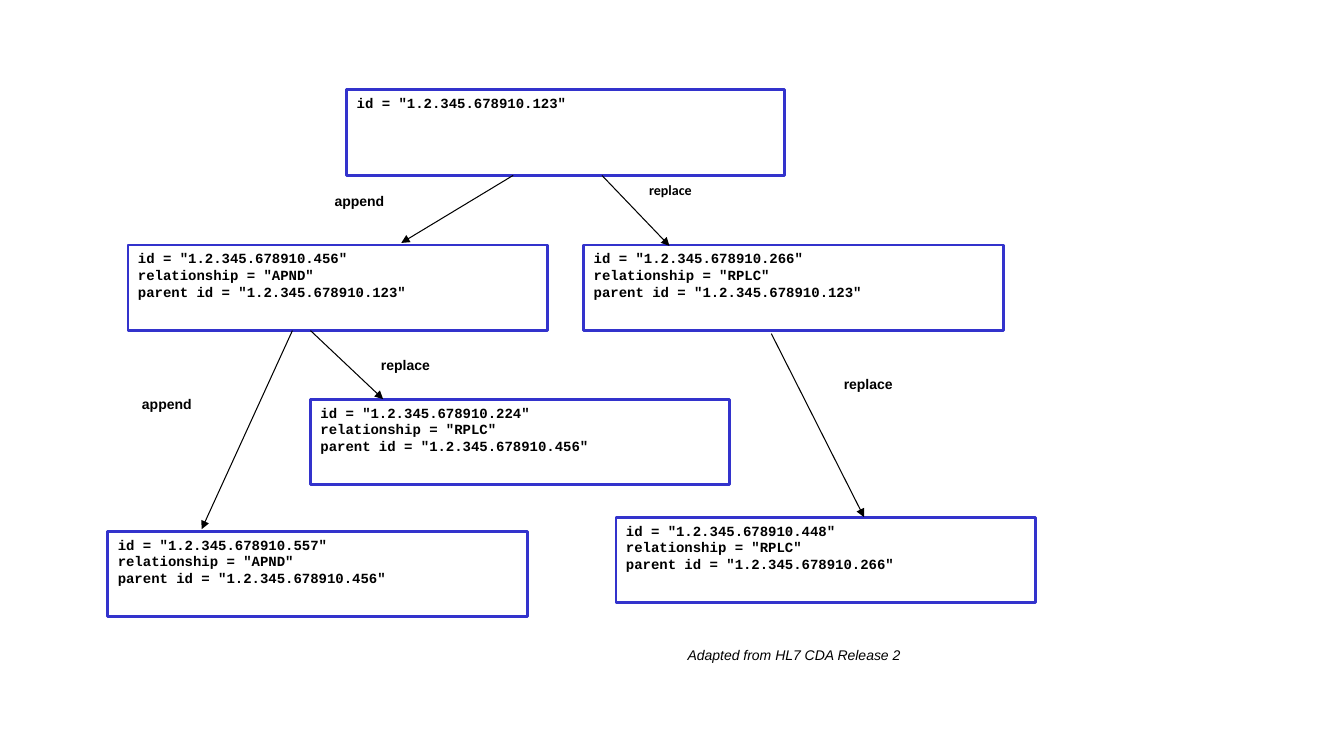
from lxml.etree import SubElement
from pptx import Presentation
from pptx.dml.color import RGBColor
from pptx.enum.shapes import MSO_CONNECTOR, MSO_SHAPE
from pptx.enum.text import MSO_ANCHOR, PP_ALIGN
from pptx.oxml.ns import qn
from pptx.util import Inches, Pt

BLACK, WHITE, BLUE = "000000", "FFFFFF", "3333CC"
ROOT_WIDTH, CHILD_WIDTH = 4.34, 4.16

# left, top, width, id, relationship, parent id
DOCUMENTS = [
    (3.44, 0.89, ROOT_WIDTH, "123", None, None),
    (1.27, 2.43, CHILD_WIDTH, "456", "APND", "123"),
    (5.79, 2.43, CHILD_WIDTH, "266", "RPLC", "123"),
    (1.07, 5.27, CHILD_WIDTH, "557", "APND", "456"),
    (3.08, 3.96, CHILD_WIDTH, "224", "RPLC", "456"),
    (6.11, 5.13, CHILD_WIDTH, "448", "RPLC", "266"),
]
ARROWS = [
    (5.09, 1.74, 3.98, 2.41),
    (5.97, 1.74, 6.64, 2.44),
    (2.9, 3.28, 2, 5.25),
    (3.08, 3.28, 3.8, 3.96),
    (7.65, 3.31, 8.57, 5.13),
]
LABELS = [
    (3.22, 1.86, "append", "Arial"),
    (6.34, 1.75, "replace", "Calibri"),
    (1.31, 3.87, "append", "Arial"),
    (3.68, 3.49, "replace", "Arial"),
    (8.27, 3.68, "replace", "Arial"),
]


def rgb(value):
    return RGBColor.from_string(value)


class DiagramSlide:
    def __init__(self, slide):
        self.shapes = slide.shapes
        self.size = Pt(10)

    def set_text(self, sp, lines, font, insets, bold=False, italic=False, spacing=None):
        """Fill a shape with one paragraph per line; insets are left, top, right, bottom."""
        tf = sp.text_frame
        tf.word_wrap = True
        tf.vertical_anchor = MSO_ANCHOR.TOP
        (tf.margin_left, tf.margin_top,
         tf.margin_right, tf.margin_bottom) = map(Inches, insets)
        for i, line in enumerate(lines):
            p = tf.paragraphs[0] if i == 0 else tf.add_paragraph()
            p.alignment = PP_ALIGN.LEFT
            p.line_spacing = spacing
            r = p.add_run()
            r.text = line
            r.font.name = font
            r.font.size = self.size
            r.font.bold = bold
            r.font.italic = italic
            r.font.color.rgb = rgb(BLACK)

    def rectangle(self, left, top, width, height, line=None):
        sp = self.shapes.add_shape(MSO_SHAPE.RECTANGLE, Inches(left), Inches(top),
                                   Inches(width), Inches(height))
        sp.shadow.inherit = False
        sp.fill.solid()
        sp.fill.fore_color.rgb = rgb(WHITE)
        if line:
            sp.line.color.rgb = rgb(line)
            sp.line.width = Pt(2)
        else:
            sp.line.fill.background()
        return sp

    def document(self, left, top, width, number, relationship, parent):
        sp = self.rectangle(left, top, width, 0.85, BLUE)
        lines = [f'id = "1.2.345.678910.{number}"']
        if parent:
            lines += [f'relationship = "{relationship}"',
                      f'parent id = "1.2.345.678910.{parent}"']
        self.set_text(sp, lines, "Courier New", (0.1, 0.05, 0, 0.05), bold=True,
                      spacing=Pt(12))

    def label(self, left, top, text, font):
        sp = self.shapes.add_textbox(Inches(left), Inches(top), Inches(1.05), Inches(0.41))
        self.set_text(sp, [text], font, (0.1, 0.05, 0.1, 0.05), bold=True)

    def arrow(self, x1, y1, x2, y2):
        connector = self.shapes.add_connector(MSO_CONNECTOR.STRAIGHT, Inches(x1), Inches(y1),
                                              Inches(x2), Inches(y2))
        connector.line.color.rgb = rgb(BLACK)
        connector.line.width = Pt(0.75)
        spPr = connector._element.spPr
        SubElement(spPr.find(qn("a:ln")), qn("a:tailEnd"), type="triangle")
        SubElement(spPr, qn("a:effectLst"))

    def caption(self, left, top, width, height, text):
        sp = self.rectangle(left, top, width, height)
        self.set_text(sp, [text], "Arial", (0, 0.17, 0, 0), italic=True)


def main():
    prs = Presentation()
    prs.slide_width, prs.slide_height = Inches(13.33), Inches(7.5)
    diagram = DiagramSlide(prs.slides.add_slide(prs.slide_layouts[6]))
    for label in LABELS:
        diagram.label(*label)
    for document in DOCUMENTS:
        diagram.document(*document)
    for arrow in ARROWS:
        diagram.arrow(*arrow)
    diagram.caption(6.82, 6.24, 3.47, 0.38, "Adapted from HL7 CDA Release 2")
    prs.save("out.pptx")


if __name__ == "__main__":
    main()
